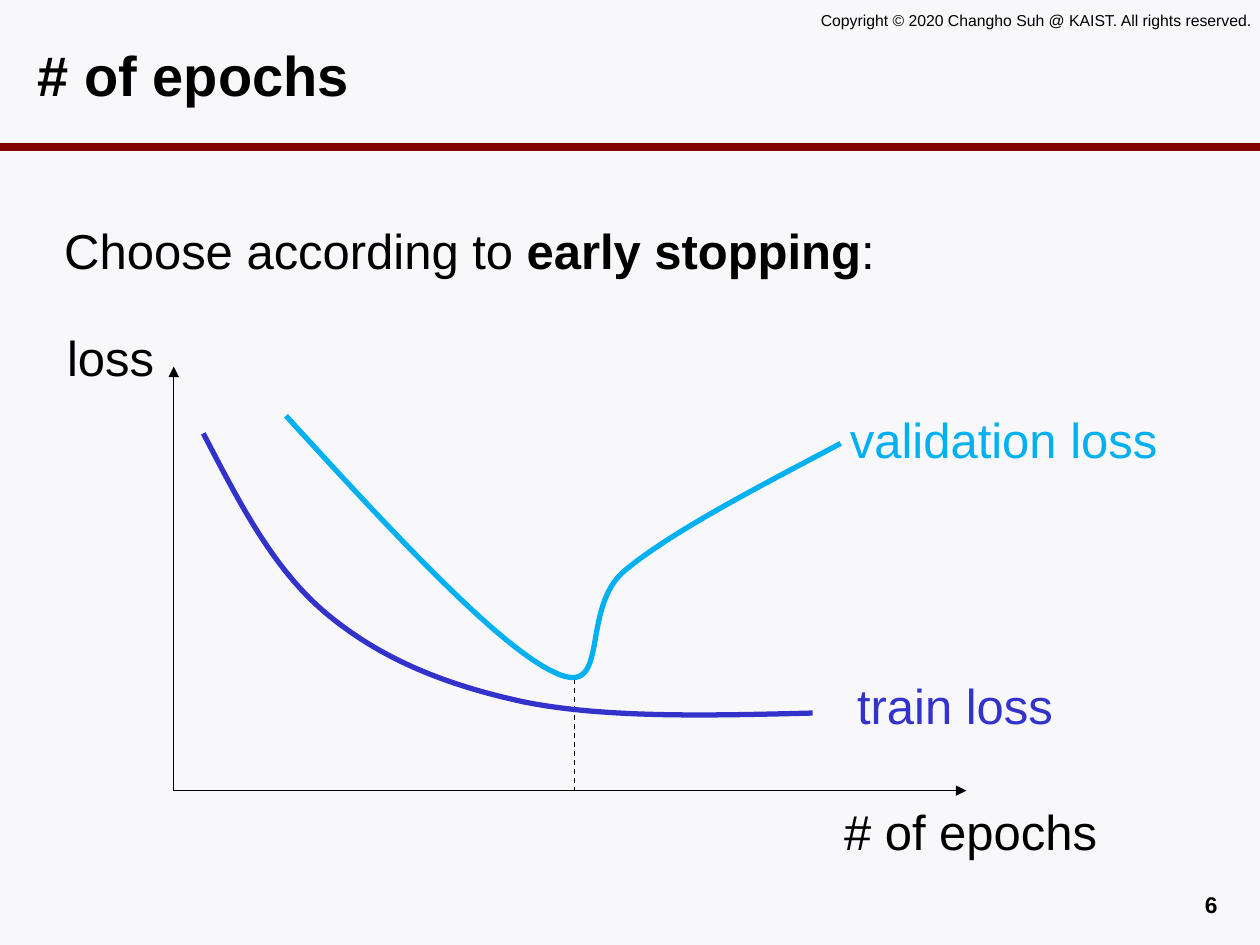
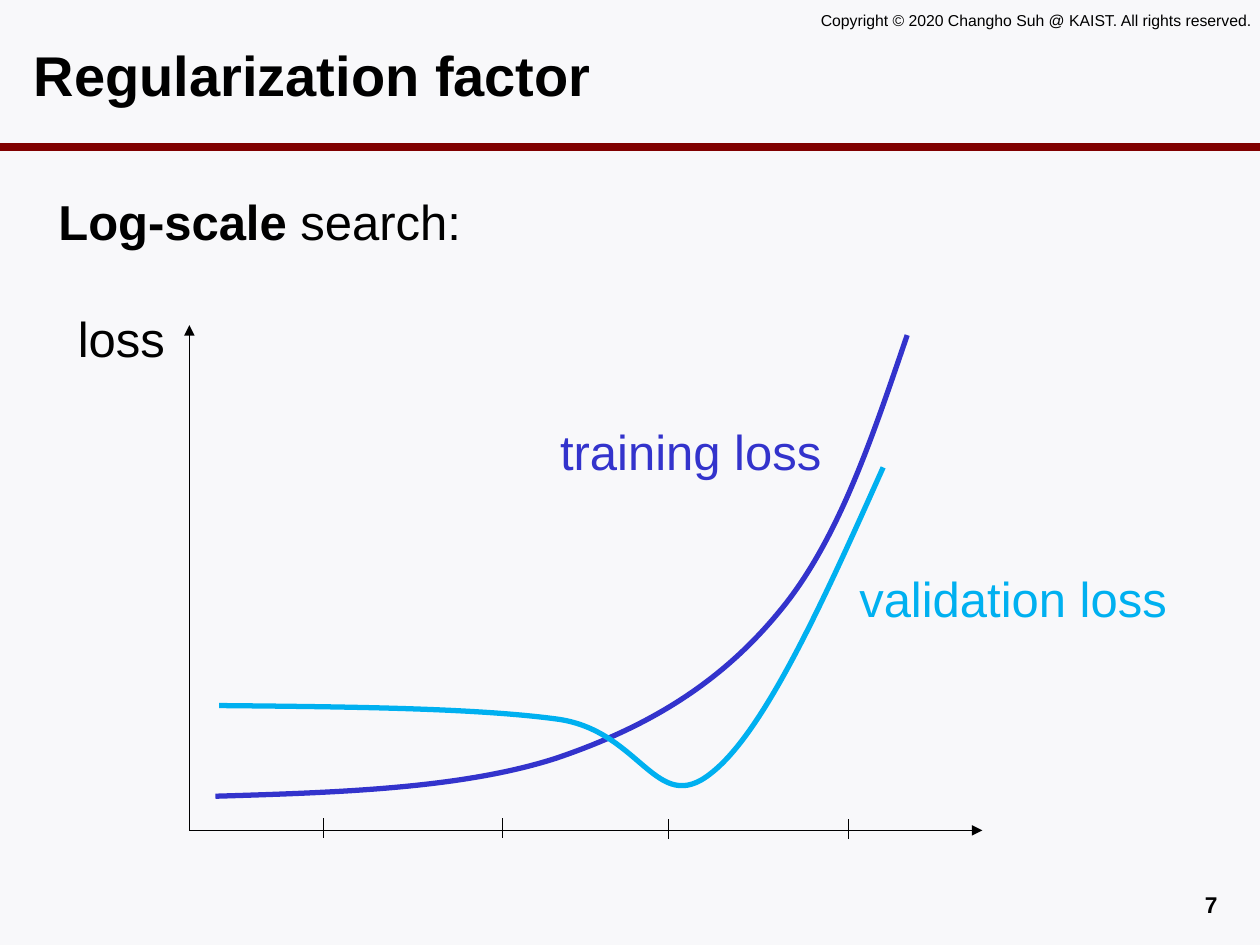
"""Build two slides on choosing the number of epochs and the regularization factor."""
from lxml.etree import SubElement
from pptx import Presentation
from pptx.dml.color import RGBColor
from pptx.enum.dml import MSO_LINE
from pptx.enum.shapes import MSO_CONNECTOR
from pptx.enum.text import MSO_ANCHOR, MSO_AUTO_SIZE, PP_ALIGN
from pptx.oxml.ns import qn
from pptx.util import Pt

FONT = "Arial"
BLACK, PAPER, MAROON = "000000", "F8F8FA", "800000"
TRAIN, VALIDATION = "3333CC", "00B0F0"
COPYRIGHT = "Copyright © 2020 Changho Suh @ KAIST. All rights reserved."


def rgb(value):
    return RGBColor.from_string(value)


def place(sp, left, top, width, height):
    sp.left, sp.top, sp.width, sp.height = Pt(left), Pt(top), Pt(width), Pt(height)


def style(p, size, color=BLACK, bold=None, align=PP_ALIGN.LEFT, before=0):
    p.font.name, p.font.size, p.font.bold = FONT, Pt(size), bold
    p.font.color.rgb = rgb(color)
    p.alignment = align
    p.space_before = Pt(before)


def add_text(s, text, box, size=28, **kwargs):
    tf = s.shapes.add_textbox(*map(Pt, box)).text_frame
    tf.word_wrap = True
    tf.text = text
    style(tf.paragraphs[0], size, **kwargs)


def add_label(s, text, left, top, width, color=BLACK):
    add_text(s, text, (left, top, width, 44), color=color, before=2.5)


def add_line(s, start, end, color=BLACK, width=0.75, dashed=False, arrow=False):
    c = s.shapes.add_connector(MSO_CONNECTOR.STRAIGHT, *map(Pt, start + end))
    c.line.color.rgb = rgb(color)
    c.line.width = Pt(width)
    if dashed:
        c.line.dash_style = MSO_LINE.DASH
    sp_pr = c.element.spPr
    if arrow:
        SubElement(sp_pr.find(qn("a:ln")), qn("a:tailEnd"), type="triangle")
    SubElement(sp_pr, qn("a:effectLst"))


def add_axes(s, x, y, top, right):
    add_line(s, (x, y), (x, top), arrow=True)
    add_line(s, (x, y), (right, y), arrow=True)


def add_curve(s, knots, color):
    start, *rest = [tuple(map(Pt, knot)) for knot in knots]
    builder = s.shapes.build_freeform(*start)
    builder.add_line_segments(rest, close=False)
    sp = builder.convert_to_shape()
    sp.shadow.inherit = False
    sp.fill.background()
    sp.line.color.rgb = rgb(color)
    sp.line.width = Pt(3)
    outline = next(sp.element.iter(qn("a:moveTo"))).getparent()
    segments = outline.findall(qn("a:lnTo"))
    for i in range(0, len(segments), 3):
        bezier = SubElement(outline, qn("a:cubicBezTo"))
        for segment in segments[i:i + 3]:
            bezier.append(segment[0])
            outline.remove(segment)


def add_slide(prs, number, title, title_left, lead, lead_box):
    s = prs.slides.add_slide(prs.slide_layouts[1])
    add_line(s, (0, 84), (720, 84), MAROON, 4.5)
    add_text(s, COPYRIGHT, (462, 2.4, 269, 18), 9)
    add_text(s, str(number), (534.7, 505.6, 168, 20), 13, bold=True, align=PP_ALIGN.RIGHT)

    place(s.shapes.title, title_left, 12.2, 688, 60)
    tf = s.shapes.title.text_frame
    tf.text = title
    tf.auto_size = MSO_AUTO_SIZE.NONE
    tf.vertical_anchor = MSO_ANCHOR.MIDDLE
    style(tf.paragraphs[0], 32, bold=True)

    body = s.placeholders[1]
    place(body, *lead_box)
    tf = body.text_frame
    tf.auto_size = MSO_AUTO_SIZE.NONE
    p = tf.paragraphs[0]
    style(p, 28, before=2.5)
    p_pr = p._p.get_or_add_pPr()
    p_pr.set("marL", "0")
    p_pr.set("indent", "0")
    p_pr.insert_element_before(p_pr.makeelement(qn("a:buNone")), "a:tabLst", "a:defRPr")
    for text, bold in lead:
        r = p.add_run()
        r.text = text
        r.font.bold = bold
    return s


def epochs_slide(prs):
    lead = [("Choose according to ", False), ("early stopping", True), (":", False)]
    s = add_slide(prs, 6, "# of epochs", 14.4, lead, (29.5, 122.4, 503, 42))
    add_line(s, (328.3, 388), (328.3, 451.8), dashed=True)
    add_axes(s, 99.3, 451.8, 209.5, 552.2)
    add_label(s, "loss", 31.2, 183.6, 93)
    add_label(s, "train loss", 482.7, 382.3, 194, TRAIN)
    add_label(s, "validation loss", 478.6, 230.4, 194, VALIDATION)
    add_label(s, "# of epochs", 475.2, 454.7, 187)
    add_curve(s, [
        (464.4, 407.5), (404.6, 409), (344.9, 410.4), (298.8, 401), (252.7, 391),
        (216.7, 375.8), (186.5, 350.6), (155.5, 324.7), (136.1, 285.8), (116.2, 247.7),
    ], TRAIN)
    add_curve(s, [
        (480.4, 253.4), (432.7, 278.6), (385.2, 303.1), (357.8, 325.4), (330.5, 347),
        (349.9, 399.6), (317.5, 384.5), (285.1, 370.1), (223.9, 303.8), (163.4, 237.6),
    ], VALIDATION)


def regularization_slide(prs):
    lead = [("Log-scale ", True), ("search:", False)]
    s = add_slide(prs, 7, "Regularization factor", 12.2, lead, (26.2, 106, 249, 32.4))
    add_axes(s, 108.2, 474.5, 185.8, 561.4)
    for x, top in ((184.8, 467.5), (287, 467.5), (381.8, 468), (484.8, 468)):
        add_line(s, (x, top), (x, top + 11.5))
    add_label(s, "loss", 37.4, 172.8, 71)
    add_label(s, "training loss", 313, 237.3, 194, TRAIN)
    add_curve(s, [
        (123.1, 455), (193, 452.9), (263.5, 450.7), (317.5, 433.4), (370.8, 415.4),
        (411.8, 390.2), (445, 349.9), (478.8, 309.6), (498.2, 250.6), (518.4, 191.5),
    ], TRAIN)
    add_label(s, "validation loss", 484, 321.4, 194, VALIDATION)
    add_curve(s, [
        (125.3, 403.2), (198.7, 403.9), (272.9, 404.6), (319.7, 411.1), (366.5, 418.3),
        (375.1, 466.6), (406.1, 442.1), (437, 418.3), (470.9, 342.7), (504.7, 267.1),
    ], VALIDATION)


def main():
    prs = Presentation()
    prs.slide_width, prs.slide_height = Pt(720), Pt(540)
    fill = prs.slide_master.background.fill
    fill.solid()
    fill.fore_color.rgb = rgb(PAPER)
    epochs_slide(prs)
    regularization_slide(prs)
    prs.save("out.pptx")


if __name__ == "__main__":
    main()
